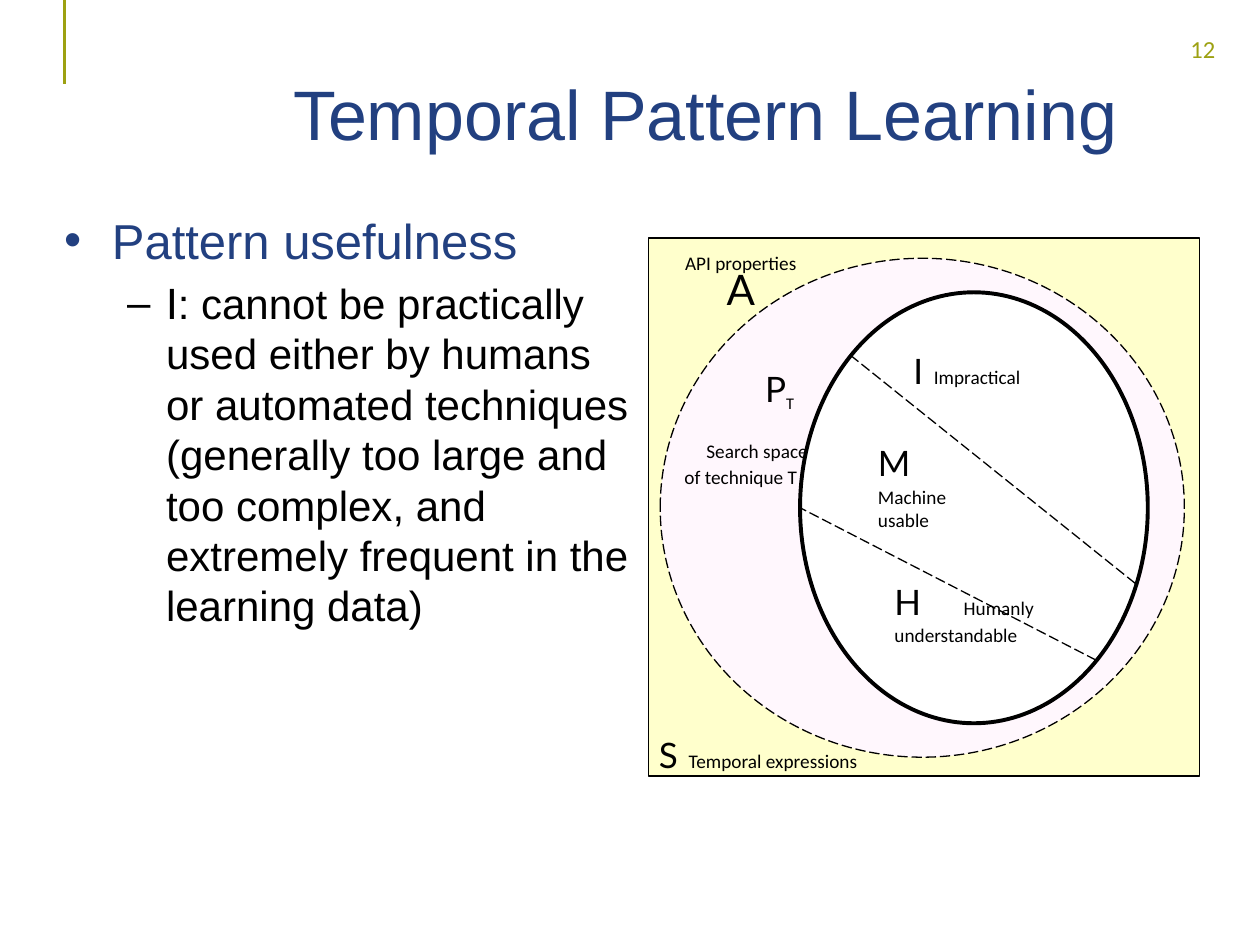
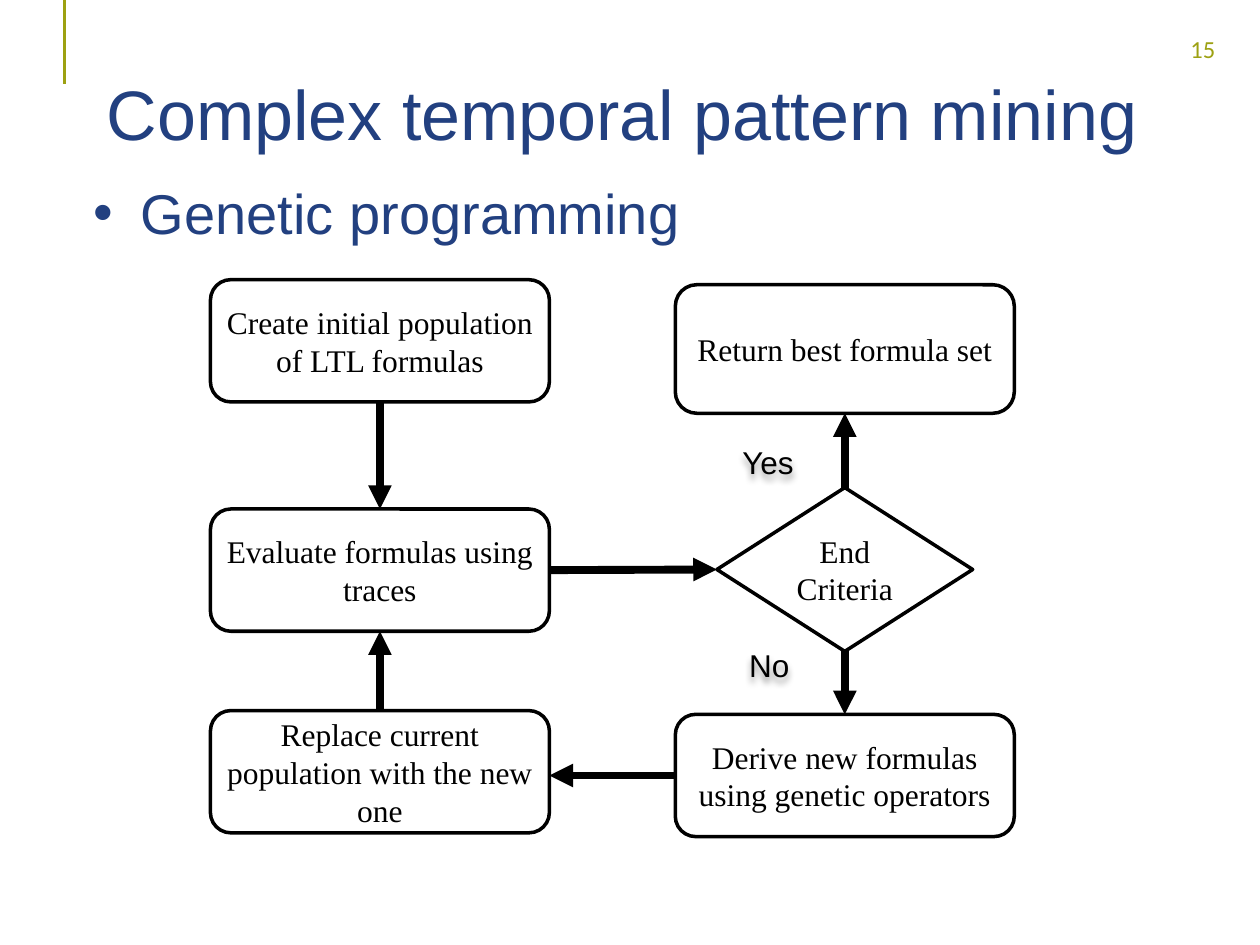
"""Build two slides on temporal pattern learning and genetic mining."""
from lxml.etree import SubElement
from pptx import Presentation
from pptx.dml.color import RGBColor as Color
from pptx.enum.dml import MSO_LINE_DASH_STYLE as Dash
from pptx.enum.shapes import MSO_CONNECTOR as Link, MSO_SHAPE as Kind
from pptx.enum.text import MSO_ANCHOR as Anchor, PP_ALIGN as Align
from pptx.oxml.ns import qn
from pptx.util import Pt

PX = 9144
NAVY, OLIVE, BLACK, WHITE = "224080", "9DA112", "000000", "FFFFFF"
CREAM, BLUSH = "FFFFCC", "FFF7FD"
hex_color = Color.from_string


def px(*values):
    """Turn px lengths into EMU."""
    return [round(value * PX) for value in values]


def write(box, paragraphs, **frame_format):
    """Fill a box with (paragraph format, spans) pairs."""
    frame = box.text_frame
    for name, value in {"word_wrap": True, **frame_format}.items():
        setattr(frame, name, value)
    for index, (layout, spans) in enumerate(paragraphs):
        para = frame.add_paragraph() if index else frame.paragraphs[0]
        properties = para._p.get_or_add_pPr()
        for name, value in layout.items():
            if name in ("marL", "indent"):
                properties.set(name, str(*px(value)))
            elif name == "bullet":
                SubElement(properties, qn("a:buFont")).set("typeface", "Arial")
                SubElement(properties, qn("a:buChar")).set("char", value)
            elif name == "tab":
                stop = SubElement(SubElement(properties, qn("a:tabLst")), qn("a:tab"))
                stop.set("pos", str(*px(value)))
                stop.set("algn", "l")
            else:
                setattr(para, name, value)
        for text, size, font, color, *baseline in spans:
            span = para.add_run()
            span.text = text
            for name, value in {"size": Pt(size), "name": font}.items():
                setattr(span.font, name, value)
            span.font.color.rgb = hex_color(color)
            if baseline:
                span.font._element.set("baseline", baseline[0])


deck = Presentation()
deck.slide_width, deck.slide_height = px(1000, 750)

headings = [
    ("12", "Temporal Pattern Learning ", (106, 31, 806, 125)),
    ("15", "Complex temporal pattern mining", (64, 31, 848, 125)),
]
lines = []
for number, title, place in headings:
    page = deck.slides.add_slide(deck.slide_layouts[6])
    rule = page.shapes.add_connector(Link.STRAIGHT, *px(51, 0, 51, 67))
    lines.append((rule, OLIVE, 1.5, None))
    write(page.shapes.add_textbox(*px(935, 22, 43, 33)),
          [({}, [(number, 14, "Calibri", OLIVE)])])
    write(page.shapes.add_textbox(*px(*place)),
          [({"alignment": Align.RIGHT, "line_spacing": 0.9},
            [(title, 40, "Arial", NAVY)])], vertical_anchor=Anchor.MIDDLE)
usefulness, mining = deck.slides

topic = {"marL": 38, "indent": -38, "bullet": "•"}
detail = {"marL": 81, "indent": -31, "bullet": "–", "space_before": Pt(4.8)}
write(usefulness.shapes.add_textbox(*px(41, 162, 468, 454)), [
    ({**topic, "space_before": Pt(5.6)}, [("Pattern usefulness", 28, "Arial", NAVY)]),
    (detail, [
        ("I", 24, "Lato", BLACK),
        (": cannot be practically used either by humans or automated techniques "
         "(generally too large and too complex, and extremely frequent in the "
         "learning data)", 24, "Arial", BLACK)]),
])
write(mining.shapes.add_textbox(*px(64, 137, 850, 454)), [
    ({**topic, "space_before": Pt(6.4)}, [("Genetic programming", 32, "Arial", NAVY)]),
])

regions = [
    (Kind.RECTANGLE, (515, 189, 437, 427), CREAM, 0.75, None),
    (Kind.OVAL, (524, 205, 416, 396), BLUSH, 0.75, Dash.LONG_DASH),
    (Kind.OVAL, (635, 232, 276, 342), WHITE, 2.25, None),
]
for kind, place, fill, width, dash in regions:
    region = usefulness.shapes.add_shape(kind, *px(*place))
    region.shadow.inherit = False
    region.fill.solid()
    region.fill.fore_color.rgb = hex_color(fill)
    lines.append((region, BLACK, width, dash))
for ends in ((901, 463, 675, 282), (870, 524, 635, 403)):
    divider = usefulness.shapes.add_connector(Link.STRAIGHT, *px(*ends))
    lines.append((divider, BLACK, 0.75, Dash.LONG_DASH))

sets = [
    ("S", " ", "Temporal expressions", (513, 572, 195, 50), {}),
    ("I", " ", "Impractical", (715, 267, 120, 50), {}),
    ("M", " ", "Machine usable", (687, 340, 104, 88), {}),
    ("H", "\t", "Humanly understandable", (700, 450, 135, 88), {"tab": 55}),
]
for letter, gap, meaning, place, layout in sets:
    write(usefulness.shapes.add_textbox(*px(*place)), [(layout, [
        (letter, 20, "Lato", BLACK), (gap, 24, "Lato", BLACK),
        (meaning, 11, "Calibri", BLACK)])])
write(usefulness.shapes.add_textbox(*px(528, 189, 120, 67)), [
    ({"alignment": Align.CENTER, "line_spacing": Pt(20)},
     [("API properties", 11, "Calibri", BLACK), (" A", 24, "Lato", BLACK)]),
])
write(usefulness.shapes.add_textbox(*px(523, 281, 130, 88)), [
    ({"alignment": Align.CENTER, "marL": 70},
     [("P", 20, "Lato", BLACK), ("T", 16, "Calibri", BLACK, "-25000"),
      (" ", 24, "Lato", BLACK)]),
    ({"alignment": Align.CENTER, "indent": 26, "line_spacing": Pt(15),
      "space_before": Pt(13.5)},
     [("Search space of technique T", 11, "Calibri", BLACK)]),
])

steps = {
    "create": ("Create initial population of LTL formulas", (167, 222, 269, 97)),
    "evaluate": ("Evaluate formulas using traces", (167, 404, 269, 97)),
    "replace": ("Replace current population with the new one", (167, 564, 269, 97)),
    "return": ("Return best formula set", (536, 226, 269, 102)),
    "end": ("End Criteria", (569, 387, 203, 130)),
    "derive": ("Derive new formulas using genetic operators", (536, 567, 269, 97)),
}
side, edge = px(4, 5)
insets = {"margin_left": side, "margin_right": side,
          "margin_top": edge, "margin_bottom": edge}
boxes = {}
for step, (text, place) in steps.items():
    kind = Kind.DIAMOND if step == "end" else Kind.ROUNDED_RECTANGLE
    box = boxes[step] = mining.shapes.add_shape(kind, *px(*place))
    box.shadow.inherit = False
    box.fill.solid()
    box.fill.fore_color.rgb = hex_color(WHITE)
    tint = box._element.spPr.find(qn("a:solidFill")).find(qn("a:srgbClr"))
    SubElement(tint, qn("a:alpha")).set("val", "62000")
    lines.append((box, BLACK, 2, None))
    write(box, [({"alignment": Align.CENTER}, [(text, 18, "Times New Roman", BLACK)])],
          vertical_anchor=Anchor.MIDDLE, **insets)

TOP, LEFT, BOTTOM, RIGHT = range(4)
flows = [
    ("create", BOTTOM, "evaluate", TOP),
    ("replace", TOP, "evaluate", BOTTOM),
    ("evaluate", RIGHT, "end", LEFT),
    ("derive", LEFT, "replace", None),
    ("end", BOTTOM, "derive", TOP),
    ("end", TOP, "return", BOTTOM),
]
for start, exit_side, finish, entry_side in flows:
    arrow = mining.shapes.add_connector(Link.STRAIGHT, *px(536, 615, 436, 615))
    arrow.begin_connect(boxes[start], exit_side)
    if entry_side is None:
        arrow.end_y = arrow.begin_y
    else:
        arrow.end_connect(boxes[finish], entry_side)
    lines.append((arrow, BLACK, 4.5, None))
    SubElement(arrow.line._get_or_add_ln(), qn("a:tailEnd")).set("type", "triangle")

for answer, left, top in (("Yes", 575, 347), ("No", 576, 508)):
    label = mining.shapes.add_textbox(*px(left, top, 69, 39))
    write(label, [({"alignment": Align.CENTER}, [(answer, 18, "Arial", BLACK)])],
          vertical_anchor=Anchor.MIDDLE)
    effects = SubElement(label._element.spPr, qn("a:effectLst"))
    shadow = SubElement(effects, qn("a:outerShdw"),
                        blurRad="50800", dist="38100", dir="5400000")
    shade = SubElement(shadow, qn("a:srgbClr"), val=BLACK)
    SubElement(shade, qn("a:alpha"), val="40000")

for item, color, width, dash in lines:
    item.line.color.rgb = hex_color(color)
    for name, value in {"width": Pt(width), "dash_style": dash}.items():
        setattr(item.line, name, value)
    properties = item._element.spPr
    if properties.find(qn("a:effectLst")) is None:
        SubElement(properties, qn("a:effectLst"))

deck.save("out.pptx")
